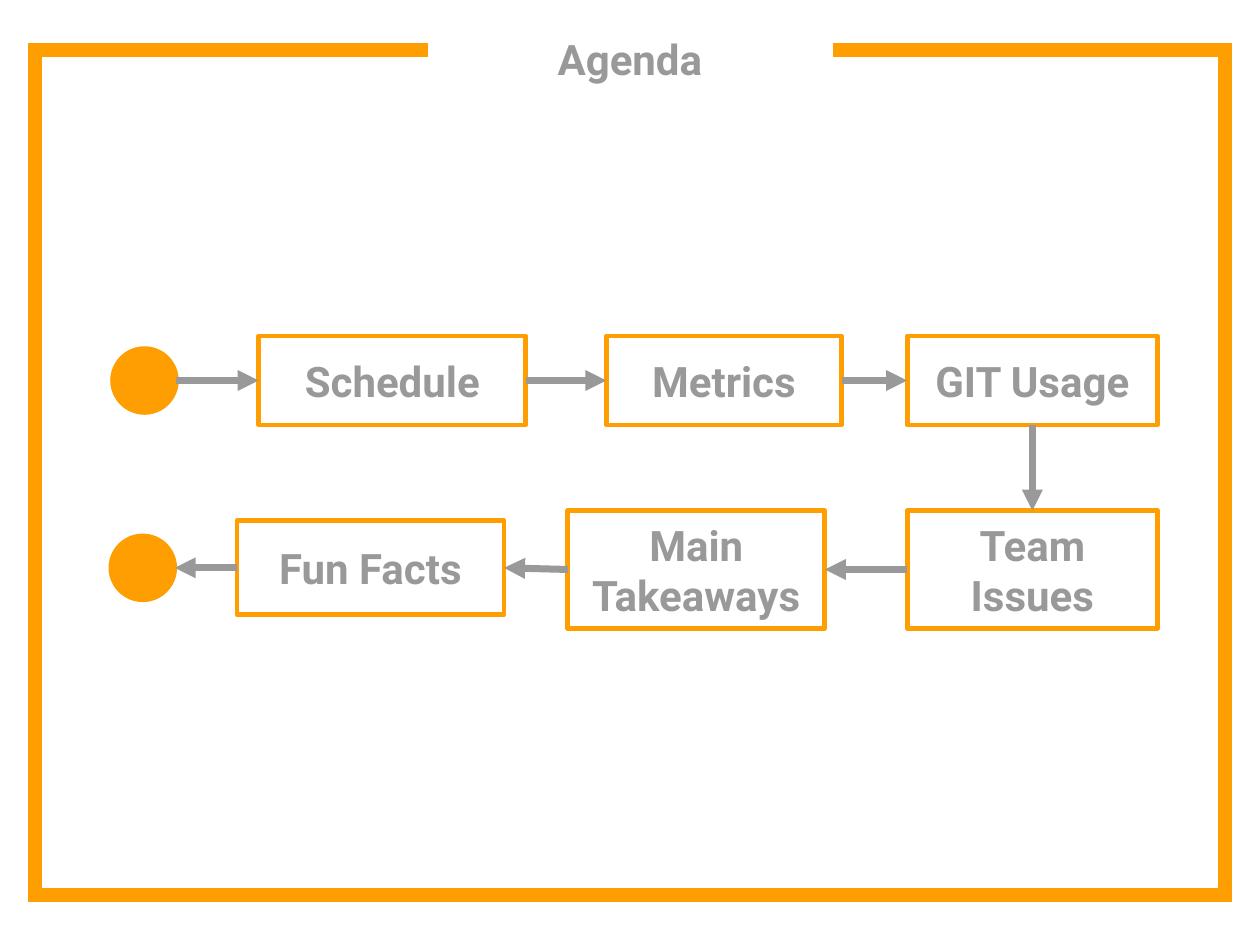
"""Build the agenda slide: a framed flow of six topics between two dots."""
from dataclasses import dataclass
from itertools import pairwise

from lxml.etree import SubElement
from pptx import Presentation
from pptx.dml.color import RGBColor
from pptx.enum.shapes import MSO_CONNECTOR, MSO_SHAPE
from pptx.enum.text import MSO_ANCHOR, PP_ALIGN
from pptx.oxml.ns import qn
from pptx.util import Inches, Pt

TITLE = "Agenda"
TITLE_AREA = (2.66, 0.1, 2.18, 0.8)
TOPICS = [
    ("Schedule", (1.54, 2, 1.59, 0.53)),
    ("Metrics", (3.61, 2, 1.4, 0.53)),
    ("GIT Usage", (5.4, 2, 1.49, 0.53)),
    ("Team Issues", (5.4, 3.04, 1.49, 0.7)),
    ("Main Takeaways", (3.38, 3.04, 1.53, 0.7)),
    ("Fun Facts", (1.41, 3.1, 1.59, 0.56)),
]
TOPIC_SIDES = [(3, 1), (3, 1), (2, 0), (1, 3), (1, 3)]
START_LEFT, END_LEFT, DOT_SIZE = 0.67, 0.66, 0.38
FRAME = [(2.55, 0.3), (0.21, 0.3), (0.21, 5.33),
         (7.29, 5.33), (7.29, 0.3), (4.96, 0.3)]


@dataclass(frozen=True)
class Theme:
    accent: RGBColor = RGBColor(0xFF, 0x9E, 0x00)
    gray: RGBColor = RGBColor(0x99, 0x99, 0x99)
    white: RGBColor = RGBColor(0xFF, 0xFF, 0xFF)
    font: str = "Roboto"
    size: int = 18
    frame_line: int = 6
    box_line: int = 2
    arrow_line: int = 3


THEME = Theme()


def place(shape, area):
    shape.left, shape.top, shape.width, shape.height = map(Inches, area)


def write(shape, text, *, anchor, inset):
    frame = shape.text_frame
    frame.word_wrap = True
    frame.vertical_anchor = anchor
    frame.margin_left = frame.margin_right = Inches(inset[0])
    frame.margin_top = frame.margin_bottom = Inches(inset[1])
    para = frame.paragraphs[0]
    para.alignment = PP_ALIGN.CENTER
    span = para.add_run()
    span.text = text
    span.font.name = THEME.font
    span.font.size = Pt(THEME.size)
    span.font.bold = True
    span.font.color.rgb = THEME.gray


def outline(shape, width, join):
    shape.shadow.inherit = False
    shape.line.color.rgb = THEME.accent
    shape.line.width = Pt(width)
    SubElement(shape.line._get_or_add_ln(), qn(f"a:{join}"))


def add_frame(page):
    corners = [(Inches(x), Inches(y)) for x, y in FRAME]
    builder = page.shapes.build_freeform(*corners[0])
    builder.add_line_segments(corners[1:], close=False)
    border = builder.convert_to_shape()
    border.fill.background()
    outline(border, THEME.frame_line, "miter")


def add_node(page, kind, area, fill):
    node = page.shapes.add_shape(kind, *map(Inches, area))
    node.fill.solid()
    node.fill.fore_color.rgb = fill
    outline(node, THEME.box_line, "round")
    return node


def add_topic(page, text, area):
    box = add_node(page, MSO_SHAPE.RECTANGLE, area, THEME.white)
    write(box, text, anchor=MSO_ANCHOR.MIDDLE, inset=(0.07, 0.04))
    return box


def add_dot(page, left, box):
    dot = add_node(page, MSO_SHAPE.OVAL, (left, 0, DOT_SIZE, DOT_SIZE), THEME.accent)
    dot.top = box.top + (box.height - dot.height) // 2
    return dot


def add_arrow(page, start=(0, 0), end=(0, 0)):
    arrow = page.shapes.add_connector(MSO_CONNECTOR.STRAIGHT, *start, *end)
    arrow.line.color.rgb = THEME.gray
    arrow.line.width = Pt(THEME.arrow_line)
    SubElement(arrow.line._get_or_add_ln(), qn("a:tailEnd"), type="triangle")
    SubElement(arrow._element.spPr, qn("a:effectLst"))
    return arrow


def right_middle(shape):
    return shape.left + shape.width, shape.top + shape.height // 2


def main():
    deck = Presentation()
    deck.slide_width = Inches(7.5)
    deck.slide_height = deck.slide_width * 3 // 4
    page = deck.slides.add_slide(deck.slide_layouts[5])
    add_frame(page)
    place(page.shapes.title, TITLE_AREA)
    write(page.shapes.title, TITLE, anchor=MSO_ANCHOR.TOP, inset=(0.1, 0.1))

    boxes = [add_topic(page, text, area) for text, area in TOPICS]
    start_dot = add_dot(page, START_LEFT, boxes[0])
    end_dot = add_dot(page, END_LEFT, boxes[-1])

    add_arrow(page, start=right_middle(start_dot)).end_connect(boxes[0], 1)
    for (source, target), (leave, enter) in zip(pairwise(boxes), TOPIC_SIDES):
        arrow = add_arrow(page)
        arrow.begin_connect(source, leave)
        arrow.end_connect(target, enter)
    add_arrow(page, end=right_middle(end_dot)).begin_connect(boxes[-1], 1)
    deck.save("out.pptx")


if __name__ == "__main__":
    main()
